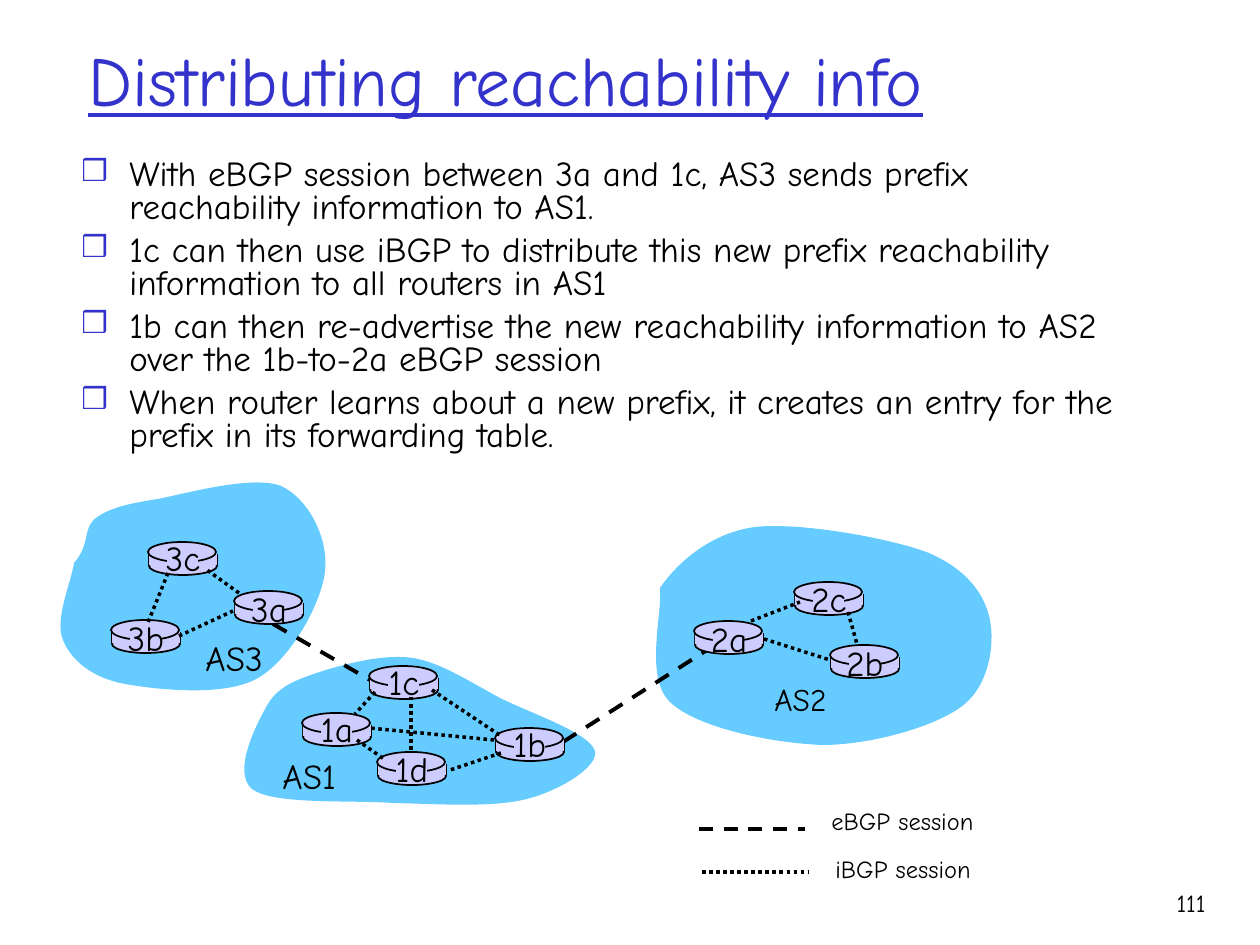
from lxml import etree
from pptx import Presentation
from pptx.dml.color import RGBColor
from pptx.enum.dml import MSO_LINE
from pptx.enum.shapes import MSO_CONNECTOR, MSO_SHAPE
from pptx.enum.text import MSO_ANCHOR, MSO_AUTO_SIZE, PP_ALIGN
from pptx.oxml.ns import qn
from pptx.util import Pt

STRAIGHT = MSO_CONNECTOR.STRAIGHT
OVAL, RECT = MSO_SHAPE.OVAL, MSO_SHAPE.RECTANGLE
DASH, DOT = MSO_LINE.DASH, MSO_LINE.ROUND_DOT
LEFT, CENTER, RIGHT = PP_ALIGN.LEFT, PP_ALIGN.CENTER, PP_ALIGN.RIGHT
TOP, MIDDLE = MSO_ANCHOR.TOP, MSO_ANCHOR.MIDDLE
GROW = MSO_AUTO_SIZE.SHAPE_TO_FIT_TEXT

PX = 914400 / 126
FONT = "Comic Neue"
COLORS = {"ink": "000000", "accent": "3333CC", "cloud": "66CCFF", "router": "CCCCFF"}

BULLETS = [
    "With eBGP session between 3a and 1c, AS3 sends prefix reachability information to AS1.",
    "1c can then use iBGP to distribute this new prefix reachability information to all routers in AS1",
    "1b can then re-advertise the new reachability information to AS2 over the 1b-to-2a eBGP session",
    "When router learns about a new prefix, it creates an entry for the prefix in its forwarding table.",
]

# Each cloud: a start point, then cubic segments (control, control, end)
CLOUDS = [
    ((660, 588), [
        (678, 562, 711, 533, 755, 527), (800, 522, 890, 538, 929, 553),
        (968, 570, 985, 595, 990, 620), (995, 645, 989, 687, 961, 707),
        (932, 728, 869, 745, 822, 745), (772, 743, 697, 728, 670, 702),
        (644, 677, 663, 612, 660, 588)]),
    ((74, 563), [
        (91, 544, 82, 529, 96, 518), (110, 508, 126, 504, 158, 499),
        (188, 493, 253, 475, 281, 486), (309, 499, 329, 539, 325, 572),
        (321, 604, 291, 659, 258, 678), (226, 697, 158, 690, 125, 684),
        (92, 678, 71, 660, 63, 640), (54, 620, 72, 580, 74, 563)]),
    ((268, 704), [
        (280, 684, 302, 678, 326, 670), (350, 663, 384, 654, 413, 658),
        (442, 663, 470, 682, 500, 698), (530, 713, 590, 733, 595, 751),
        (599, 767, 559, 791, 527, 799), (493, 808, 437, 804, 392, 803),
        (347, 800, 273, 805, 252, 789), (232, 772, 256, 725, 268, 704)]),
]

# Left and top of the disc, top of the name
ROUTERS = {
    "3a": (234, 591, 581), "3b": (111, 620, 610), "3c": (148, 542, 530),
    "1a": (302, 713, 701), "1b": (495, 728, 716), "1c": (369, 666, 654),
    "1d": (377, 752, 741),
    "2a": (694, 621, 611), "2b": (830, 645, 635), "2c": (794, 582, 571),
}

EBGP_LINKS = [(273, 624, 370, 680), (563, 742, 707, 650)]
IBGP_LINKS = [
    (179, 636, 233, 611), (239, 593, 207, 570), (168, 573, 147, 625),
    (375, 692, 355, 714), (411, 697, 411, 751), (432, 690, 501, 736),
    (501, 753, 450, 770), (494, 740, 369, 728), (357, 740, 384, 759),
    (764, 639, 830, 660), (751, 621, 800, 602), (848, 612, 857, 644),
]

AS_LABELS = [("AS3", 193, 630, 84, 20), ("AS1", 270, 748, 82, 20), ("AS2", 762, 674, 78, 18)]
LEGEND = [("eBGP session", 699, 829, 819, 800, DASH), ("iBGP session", 702, 872, 823, 848, DOT)]


def px(*values):
    return [round(v * PX) for v in values]


def rgb(name):
    return RGBColor.from_string(COLORS[name])


def add_text(slide, lines, box, size, color="ink", align=LEFT, anchor=TOP, grow=False, **font):
    tf = slide.shapes.add_textbox(*px(*box)).text_frame
    tf.word_wrap = not grow
    tf.vertical_anchor = anchor
    if grow:
        tf.auto_size = GROW
    for i, line in enumerate(lines):
        p = tf.add_paragraph() if i else tf.paragraphs[0]
        p.alignment = align
        r = p.add_run()
        r.text = line
        r.font.color.rgb = rgb(color)
        for name, value in {"name": FONT, "size": Pt(size), **font}.items():
            setattr(r.font, name, value)
    return tf


def add_bullets(tf):
    for p in tf.paragraphs:
        p.line_spacing, p.space_before = 0.8, Pt(5)
        pPr = p._p.get_or_add_pPr()
        indent = px(48)[0]
        pPr.set("marL", str(indent))
        pPr.set("indent", str(-indent))
        clr = etree.SubElement(pPr, qn("a:buClr"))
        etree.SubElement(clr, qn("a:srgbClr"), val=COLORS["accent"])
        etree.SubElement(pPr, qn("a:buSzPct"), val="85000")
        etree.SubElement(pPr, qn("a:buFont"), typeface=FONT)
        etree.SubElement(pPr, qn("a:buChar"), char="❒")


def paint(sp, fill, outlined=False):
    sp.shadow.inherit = False
    sp.fill.solid()
    sp.fill.fore_color.rgb = rgb(fill)
    if outlined:
        sp.line.color.rgb = rgb("ink")
        sp.line.width = Pt(1)
    else:
        sp.line.fill.background()


def add_line(slide, ends, width=2, dash=None):
    c = slide.shapes.add_connector(STRAIGHT, *px(*ends))
    c.line.color.rgb = rgb("ink")
    c.line.width = Pt(width)
    if dash is not None:
        c.line.dash_style = dash
    etree.SubElement(c._element.spPr, qn("a:effectLst"))


def add_cloud(slide, start, curves):
    """Build the control polygon, then turn every three of its lines into one cubic curve."""
    builder = slide.shapes.build_freeform(*px(*start), scale=1.0)
    points = [px(*curve[i:i + 2]) for curve in curves for i in (0, 2, 4)]
    builder.add_line_segments(points, close=True)
    sp = builder.convert_to_shape()
    lines = list(sp._element.iter(qn("a:lnTo")))
    for i in range(0, len(lines), 3):
        first, *others = lines[i:i + 3]
        curve = etree.Element(qn("a:cubicBezTo"))
        first.addprevious(curve)
        for line in (first, *others):
            curve.append(line[0])
            line.getparent().remove(line)
    paint(sp, "cloud")


def add_router(slide, name, x, y, name_y):
    """Draw a flat disc whose rim opens behind the name."""
    def part(kind, dx, dy, w, h, outlined=False):
        paint(slide.shapes.add_shape(kind, *px(x + dx, y + dy, w, h)), "router", outlined)

    part(OVAL, 1, 15, 68, 18, True)
    for side in (x + 1, x + 69):
        add_line(slide, (side, y + 12, side, y + 23), 1)
    part(RECT, 1, 12, 68, 11)
    part(OVAL, 0, 0, 68, 20, True)
    part(RECT, 19, 2, 31, 27)
    add_text(slide, [name], (x + 3, name_y, 64, 55), 20, align=CENTER, grow=True)


def main():
    prs = Presentation()
    prs.slide_width, prs.slide_height = px(1260, 945)
    s = prs.slides.add_slide(prs.slide_layouts[6])

    add_text(s, ["Distributing reachability info"], (76, 0, 1071, 157), 40, "accent",
             anchor=MIDDLE, underline=True)
    add_bullets(add_text(s, BULLETS, (69, 153, 1071, 326), 20))

    for start, curves in CLOUDS:
        add_cloud(s, start, curves)
    for ends in EBGP_LINKS:
        add_line(s, ends, 2.25, DASH)
    for name, place in ROUTERS.items():
        add_router(s, name, *place)
    for ends in IBGP_LINKS:
        add_line(s, ends, dash=DOT)
    for name, x, y, w, size in AS_LABELS:
        add_text(s, [name], (x, y, w, 55), size, grow=True)

    for label, x, y, text_x, text_y, dash in LEGEND:
        add_line(s, (x, y, x + 106, y), dash=dash)
        add_text(s, [label], (text_x, text_y, 170, 43), 14, grow=True)
    add_text(s, ["111"], (1125, 882, 93, 63), 14, align=RIGHT)

    prs.save("out.pptx")


if __name__ == "__main__":
    main()
